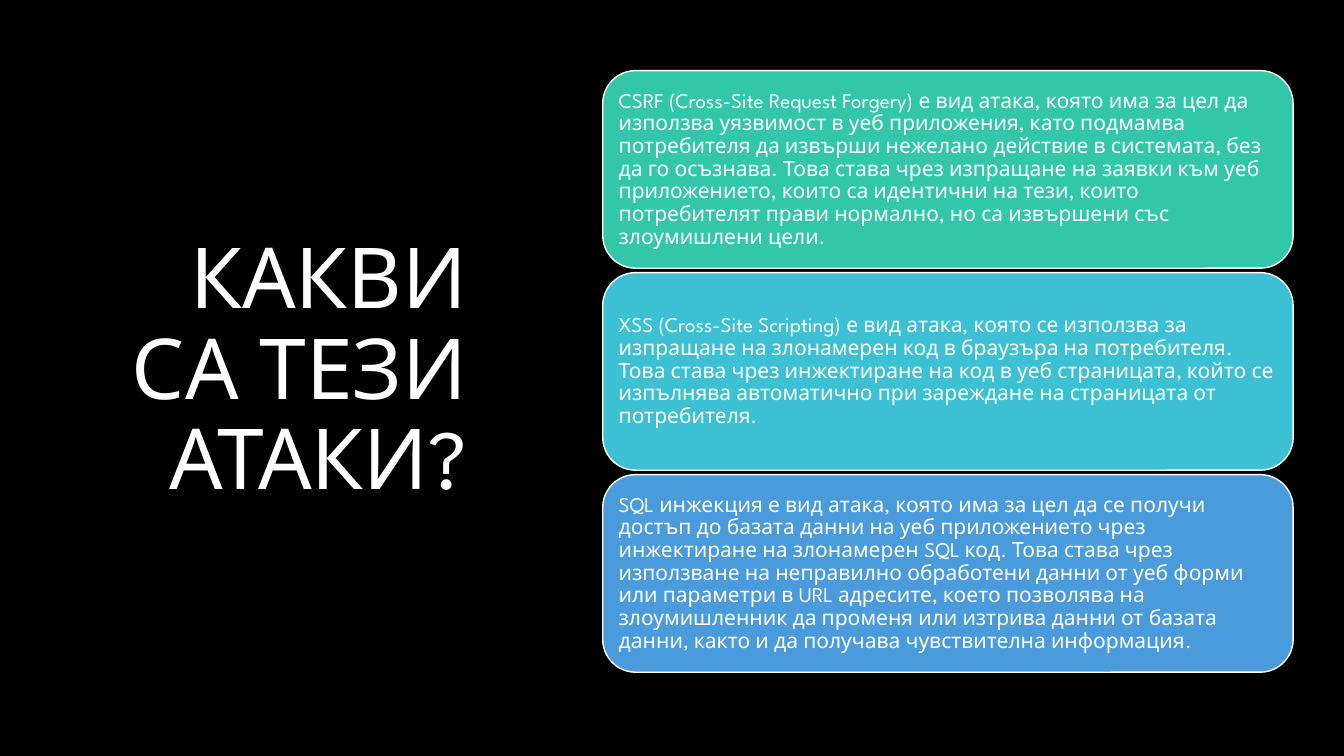
from pptx import Presentation
from pptx.dml.color import RGBColor
from pptx.enum.shapes import MSO_SHAPE as Shape
from pptx.enum.text import MSO_ANCHOR as Anchor, MSO_AUTO_SIZE as AutoSize, PP_ALIGN as Align
from pptx.util import Cm, Pt

ATTACKS = [
    ("32C7A9", "CSRF (Cross-Site Request Forgery) е вид атака, която има за цел да използва "
               "уязвимост в уеб приложения, като подмамва потребителя да извърши нежелано "
               "действие в системата, без да го осъзнава. Това става чрез изпращане на заявки "
               "към уеб приложението, които са идентични на тези, които потребителят прави "
               "нормално, но са извършени със злоумишлени цели."),
    ("3CC1D4", "XSS (Cross-Site Scripting) е вид атака, която се използва за изпращане на "
               "злонамерен код в браузъра на потребителя. Това става чрез инжектиране на код "
               "в уеб страницата, който се изпълнява автоматично при зареждане на страницата "
               "от потребителя."),
    ("4A9BDC", "SQL инжекция е вид атака, която има за цел да се получи достъп до базата данни "
               "на уеб приложението чрез инжектиране на злонамерен SQL код. Това става чрез "
               "използване на неправилно обработени данни от уеб форми или параметри в URL "
               "адресите, което позволява на злоумишленник да променя или изтрива данни от "
               "базата данни, както и да получава чувствителна информация."),
]
CARD_TOP, CARD_HEIGHT, CARD_GAP = 1.78, 4.98, 0.11


def paint(target, color):
    """Give a fill or a line one solid colour."""
    target.solid()
    target.fore_color.rgb = RGBColor.from_string(color)


def write(frame, text, size, align):
    """Write one white, vertically centred paragraph."""
    frame.word_wrap = True
    frame.auto_size = AutoSize.NONE
    frame.vertical_anchor = Anchor.MIDDLE
    paragraph = frame.paragraphs[0]
    paragraph.alignment = align
    paragraph.line_spacing = 0.9
    run = paragraph.add_run()
    run.text = text
    run.font.name = "League Spartan"
    run.font.size = Pt(size)
    paint(run.font.fill, "FFFFFF")


deck = Presentation()
deck.slide_width, deck.slide_height = Cm(33.87), Cm(19.05)
slide = deck.slides.add_slide(deck.slide_layouts[5])
paint(slide.background.fill, "000000")

title = slide.shapes.title
title.left, title.top, title.width, title.height = Cm(1.45), Cm(1.73), Cm(10.57), Cm(15.29)
write(title.text_frame, "КАКВИ СА ТЕЗИ АТАКИ?", 60, Align.RIGHT)

for row, (color, description) in enumerate(ATTACKS):
    top = CARD_TOP + row * (CARD_HEIGHT + CARD_GAP)
    card = slide.shapes.add_shape(Shape.ROUNDED_RECTANGLE, Cm(15.19), Cm(top), Cm(17.4), Cm(CARD_HEIGHT))
    card.shadow.inherit = False
    paint(card.fill, color)
    paint(card.line.fill, "FFFFFF")
    card.line.width = Pt(1)
    frame = card.text_frame
    frame.margin_left = frame.margin_right = frame.margin_top = frame.margin_bottom = Cm(0.16)
    write(frame, description, 15, Align.LEFT)

deck.save("out.pptx")
